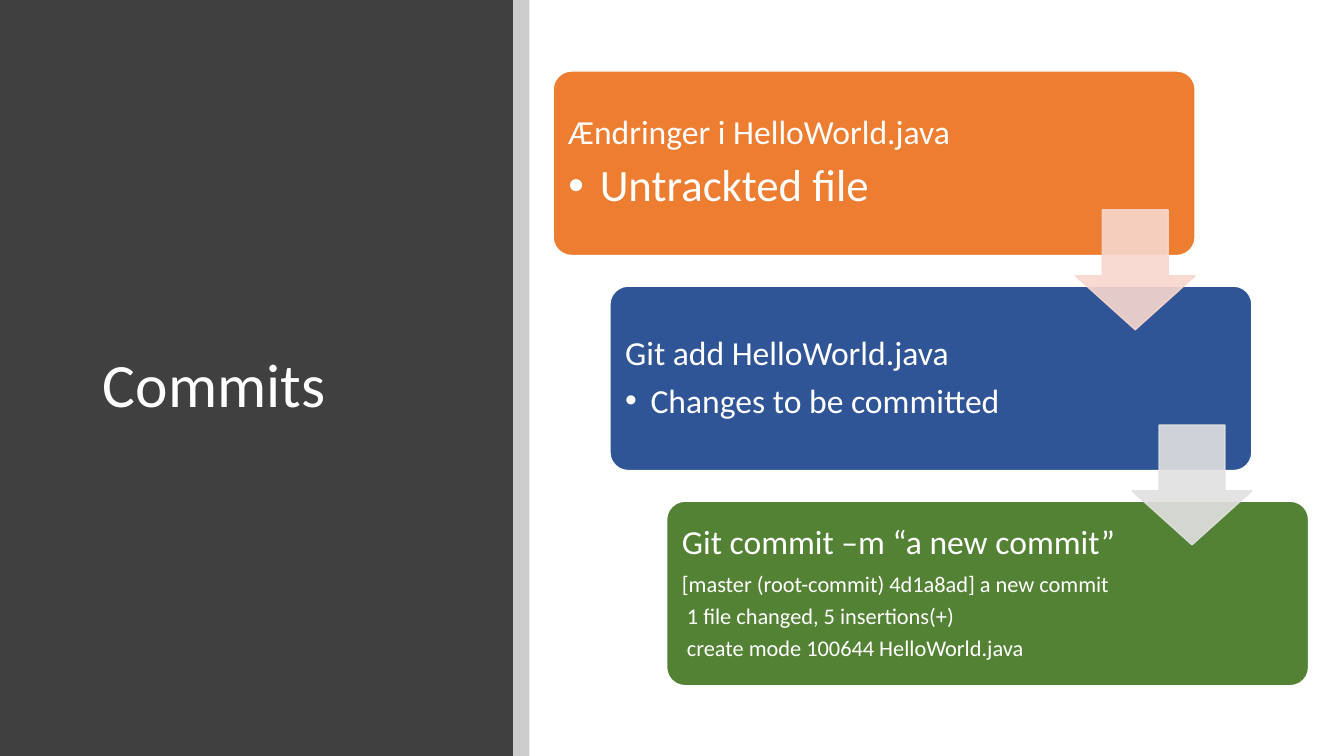
import pptx
import pptx.dml.color
import pptx.enum.shapes
import pptx.enum.text
import pptx.oxml
import pptx.oxml.ns
import pptx.util

Cm, Pt = pptx.util.Cm, pptx.util.Pt
SHAPE = pptx.enum.shapes.MSO_SHAPE
FONT, WHITE = "Calibri", "FFFFFF"
SLIDE_W, SLIDE_H, PANEL_W, STRIP_W = 33.87, 19.05, 12.93, 0.41
BOX_LEFT, BOX_TOP, BOX_W, BOX_H = 13.94, 1.79, 16.18, 4.65
STEP_X, STEP_Y = 1.43, 5.42
ARROW_DX, ARROW_DY, ARROW_SIZE = 13.16, 3.5, 3.02

STEPS = [
    ("ED7D31", [("Ændringer i HelloWorld.java", 24, 0),
                ("Untrackted file", 32, 0.79)]),
    ("2F5597", [("Git add HelloWorld.java", 24, 0),
                ("Changes to be committed", 24, 0.64)]),
    ("548235", [("Git commit –m “a new commit”", 24, 0),
                ("[master (root-commit) 4d1a8ad] a new commit", 16, 0),
                (" 1 file changed, 5 insertions(+)", 16, 0),
                (" create mode 100644 HelloWorld.java", 16, 0)]),
]
ARROW_COLORS = ["F8D7CE", "E1E1E1"]


def paint(fill, color, opacity=100):
    """Apply a solid colour, given as a hex string, to a fill."""
    fill.solid()
    fill.fore_color.rgb = pptx.dml.color.RGBColor.from_string(color)
    if opacity < 100:
        clr = fill._xPr.find(".//" + pptx.oxml.ns.qn("a:srgbClr"))
        alpha = pptx.oxml.parse_xml(
            f'<a:alpha {pptx.oxml.ns.nsdecls("a")} val="{opacity * 1000}"/>')
        clr.append(alpha)


def add_block(slide, kind, left, top, width, height, color, opacity=100, line=None):
    """Add a filled preset shape with an optional outline."""
    sp = slide.shapes.add_shape(kind, Cm(left), Cm(top), Cm(width), Cm(height))
    sp.shadow.inherit = False
    paint(sp.fill, color, opacity)
    if line:
        paint(sp.line.fill, line, opacity)
        sp.line.width = Pt(1)
    else:
        sp.line.fill.background()
    return sp


def format_paragraph(p, size):
    """Set the left-aligned white text style of a paragraph."""
    p.alignment = pptx.enum.text.PP_ALIGN.LEFT
    p.line_spacing = 0.9
    for r in p.runs:
        r.font.name, r.font.size = FONT, Pt(size)
        paint(r.font.fill, WHITE)


def add_bullet(p, indent):
    """Give a paragraph a hanging bullet."""
    pPr = p._p.get_or_add_pPr()
    pPr.set("marL", str(Cm(indent)))
    pPr.set("indent", str(-Cm(indent)))
    ns = pptx.oxml.ns.nsdecls("a")
    pPr.append(pptx.oxml.parse_xml(f'<a:buFont {ns} typeface="Arial"/>'))
    pPr.append(pptx.oxml.parse_xml(f'<a:buChar {ns} char="•"/>'))


def add_step(slide, left, top, color, lines):
    """Add a rounded box with its heading and details."""
    sp = add_block(slide, SHAPE.ROUNDED_RECTANGLE, left, top, BOX_W, BOX_H, color, line=WHITE)
    sp.adjustments[0] = 0.1
    tf = sp.text_frame
    tf.word_wrap = True
    tf.vertical_anchor = pptx.enum.text.MSO_ANCHOR.MIDDLE
    tf.text = "\n".join(text for text, _, _ in lines)
    for p, (_, size, indent) in zip(tf.paragraphs, lines):
        format_paragraph(p, size)
        p.space_after = Pt(round(size * (0.15 if indent else 0.35), 1))
        if indent:
            p.level = 1
            add_bullet(p, indent)


def add_arrow(slide, left, top, color):
    """Add a translucent down arrow between two steps."""
    sp = add_block(slide, SHAPE.DOWN_ARROW, left, top, ARROW_SIZE, ARROW_SIZE, color, 90, color)
    sp.adjustments[0], sp.adjustments[1] = 0.55, 0.45


def set_title(slide, text):
    """Place and format the title above the panel."""
    sp = slide.shapes.title
    sp.left, sp.top, sp.width, sp.height = Cm(2.34), Cm(2.26), Cm(9.27), Cm(15.01)
    tf = sp.text_frame
    tf.text = text
    tf.vertical_anchor = pptx.enum.text.MSO_ANCHOR.MIDDLE
    format_paragraph(tf.paragraphs[0], 44)
    slide.shapes._spTree.append(sp._element)


def main():
    """Build the slide and save it."""
    prs = pptx.Presentation()
    prs.slide_width, prs.slide_height = Cm(SLIDE_W), Cm(SLIDE_H)
    slide = prs.slides.add_slide(prs.slide_layouts[5])
    add_block(slide, SHAPE.RECTANGLE, 0, 0, PANEL_W, SLIDE_H, "404040")
    set_title(slide, "Commits")
    add_block(slide, SHAPE.RECTANGLE, PANEL_W, 0, STRIP_W, SLIDE_H, "000000", 20)
    for i, (color, lines) in enumerate(STEPS):
        add_step(slide, BOX_LEFT + i * STEP_X, BOX_TOP + i * STEP_Y, color, lines)
    for i, color in enumerate(ARROW_COLORS):
        add_arrow(slide, BOX_LEFT + ARROW_DX + i * STEP_X,
                  BOX_TOP + ARROW_DY + i * STEP_Y, color)
    prs.save("out.pptx")


if __name__ == "__main__":
    main()
